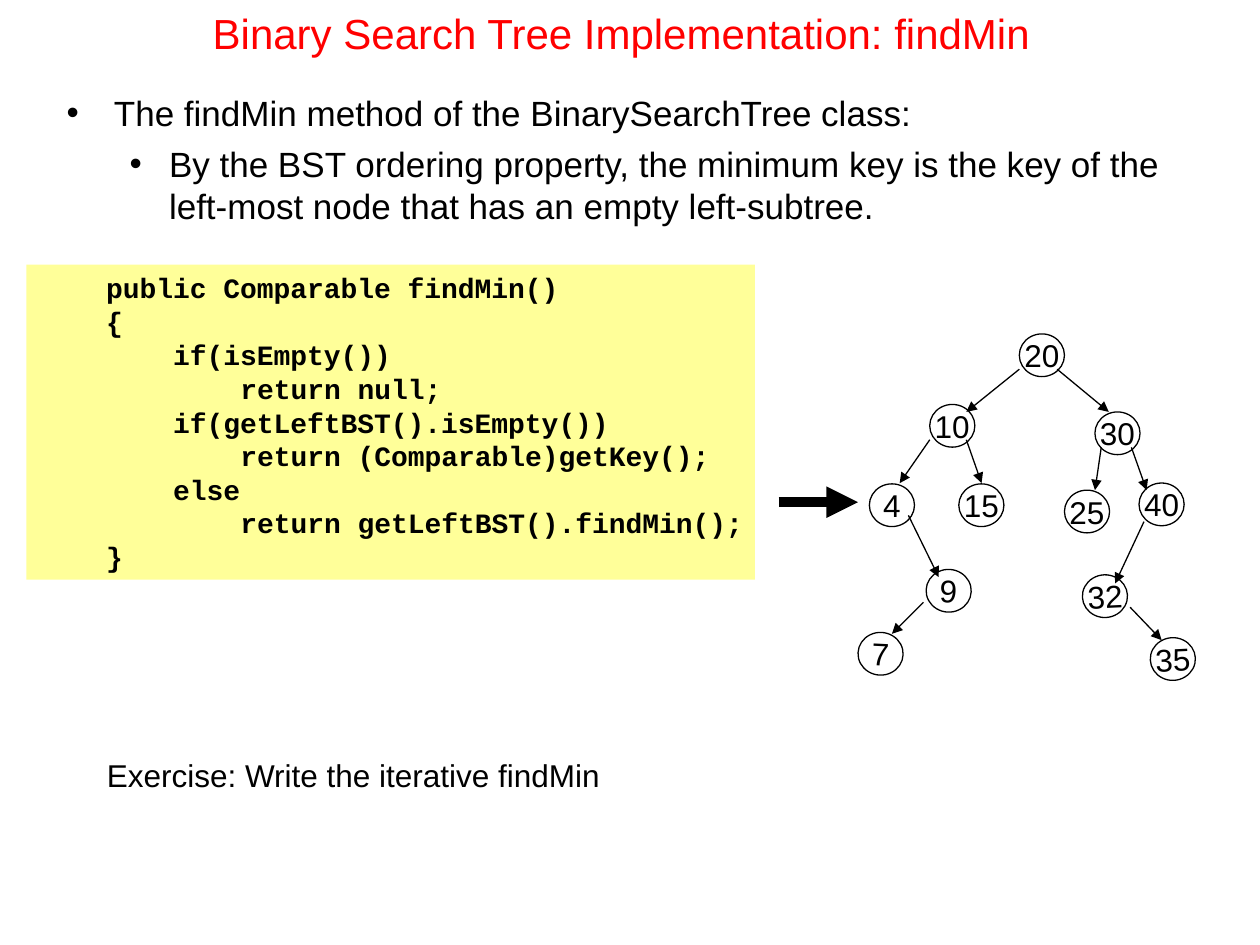
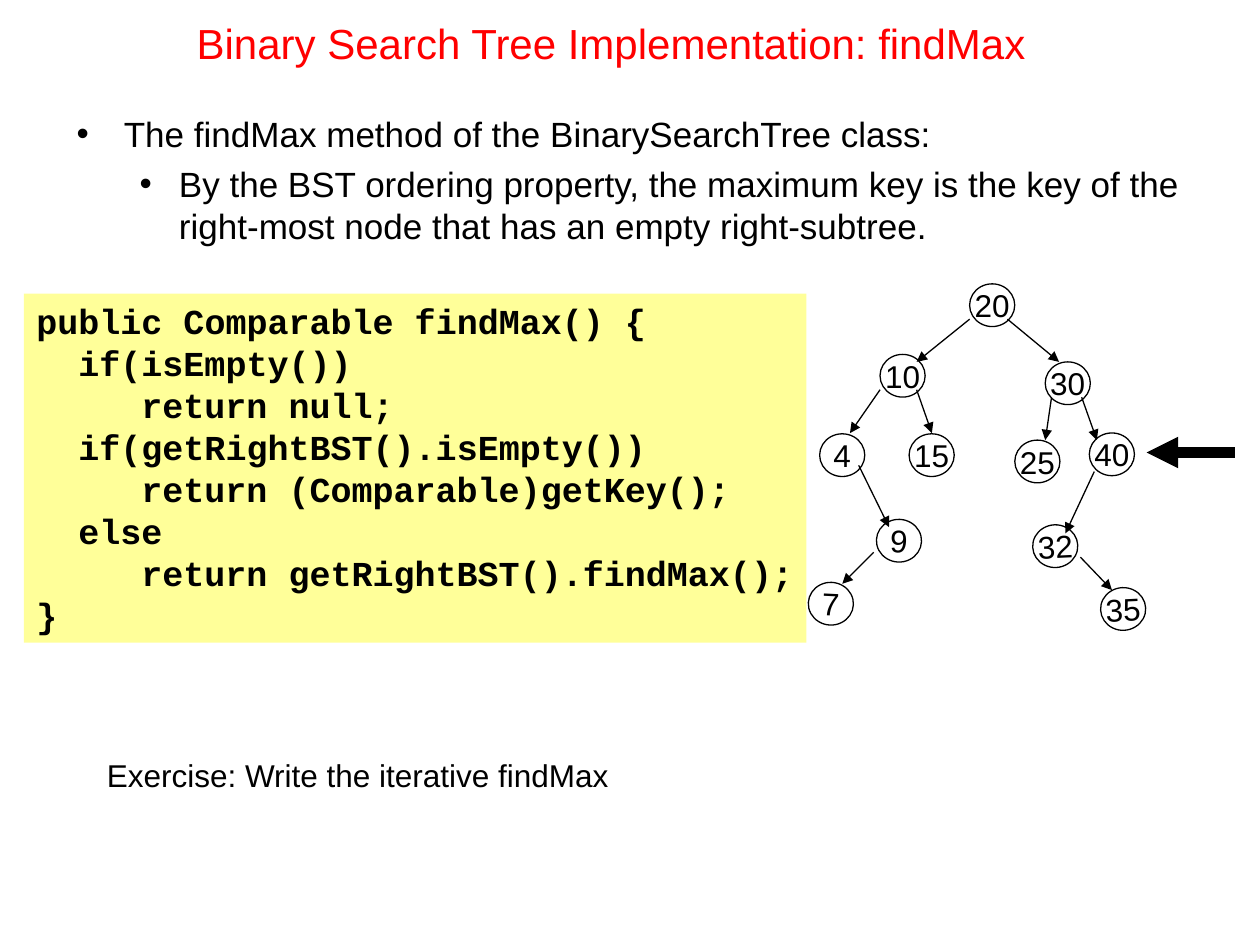
from lxml import etree
from pptx import Presentation
from pptx.dml.color import RGBColor
from pptx.enum import shapes, text
from pptx.oxml.ns import qn
from pptx.util import Pt

BLACK, RED, YELLOW = "000000", "FF0000", "FFFF99"
SANS, MONO = "Arial", "Courier New"
NODE_W, NODE_H = 25.8, 24.4

# Key: left, top, tilt; places are relative to the tree's corner
NODES = {
    20: (92.2, 0, 0), 10: (41, 40.3, 0), 30: (135.4, 44.6, 0),
    4: (6.5, 85.7, 0), 15: (57.6, 85.7, 0),
    25: (118, 89.3, 0), 40: (160.6, 85.2, 0),
    9: (38.9, 134.6, 2.8), 32: (128.2, 137.7, -2.8),
    7: (0, 170.6, 2.8), 35: (167, 173.6, -2.8),
}
# Start and end of each arrow from parent to child
EDGES = [
    (92.2, 20.2, 61.9, 44.6), (113.8, 20.2, 143.3, 44.6),
    (41, 60.5, 23.8, 85.3), (61.9, 60.5, 70.6, 85.3),
    (139, 64.8, 135.4, 89.3), (156.2, 64.8, 164.9, 89.3),
    (28.8, 103.7, 46.1, 139), (163.4, 107.3, 146.9, 142.6),
    (37.4, 153.4, 19.4, 171.4), (155.5, 156.2, 173.5, 175),
]
# Code lines: indent in characters, then the words
SLIDES = [
    dict(
        name="findMin", title=(31, 0, 648, 37.4), body=(31, 49, 648, 376.6),
        rule="By the BST ordering property, the minimum key is the key of the "
             "left-most node that has an empty left-subtree.",
        box=(15.1, 151.2, 416.2, 180), size=16,
        code=[(4, "public Comparable findMin()"), (4, "{"),
              (8, "if(isEmpty())"), (12, "return null;"),
              (8, "if(getLeftBST().isEmpty())"),
              (12, "return (Comparable)getKey();"), (8, "else"),
              (12, "return getLeftBST().findMin();"), (4, "}")],
        tree=(490.3, 190.8), mark=(445, 287, 490.3, 287)),
    dict(
        name="findMax", title=(25.2, 0, 648, 49), body=(36.7, 60.5, 648, 96.5),
        rule="By the BST ordering property, the maximum key is the key of the "
             "right-most node that has an empty right-subtree.",
        box=(13.7, 167.8, 447.1, 199.4), size=20,
        code=[(0, "public Comparable findMax() {"),
              (2, "if(isEmpty())"), (5, "return null;"),
              (2, "if(getRightBST().isEmpty())"),
              (5, "return (Comparable)getKey();"), (2, "else"),
              (5, "return getRightBST().findMax();"), (0, "}")],
        tree=(461.9, 162.2), mark=(705.6, 258.6, 655.2, 258.6)),
]


def rgb(code):
    return RGBColor.from_string(code)


def write(shape, lines, size, color=BLACK, face=SANS, bold=False, wrap=True):
    frame = shape.text_frame
    frame.word_wrap = wrap
    frame.text = "\n".join(lines)
    for para in frame.paragraphs:
        for run in para.runs:
            font = run.font
            font.size, font.name, font.bold = Pt(size), face, bold
            font.color.rgb = rgb(color)
    return frame


def label(slide, spot, lines, size, color=BLACK):
    box = slide.shapes.add_textbox(*map(Pt, spot))
    return write(box, lines, size, color)


def indent(para, left, hang=0):
    props = para._p.get_or_add_pPr()
    props.set("marL", str(Pt(left)))
    props.set("indent", str(Pt(-hang)))
    return props


def preset(slide, kind, spot):
    shape = slide.shapes.add_shape(kind, *map(Pt, spot))
    shape.shadow.inherit = False
    return shape


def arrow(slide, ends, width):
    line = slide.shapes.add_connector(
        shapes.MSO_CONNECTOR.STRAIGHT, *map(Pt, ends))
    line.line.color.rgb = rgb(BLACK)
    line.line.width = Pt(width)
    etree.SubElement(line.line._get_or_add_ln(), qn("a:tailEnd"),
                     type="triangle")
    etree.SubElement(line._element.spPr, qn("a:effectLst"))


def bullets(slide, spot, lines):
    frame = label(slide, spot, lines, 20)
    levels = [(27, 27), (58.5, 22.5)]
    for para, (left, hang) in zip(frame.paragraphs, levels):
        para.space_before = Pt(5)
        props = indent(para, left, hang)
        etree.SubElement(props, qn("a:buFont"), typeface=SANS)
        etree.SubElement(props, qn("a:buChar"), char="•")


def listing(slide, spot, code, size):
    box = preset(slide, shapes.MSO_SHAPE.RECTANGLE, spot)
    box.fill.solid()
    box.fill.fore_color.rgb = rgb(YELLOW)
    box.line.fill.background()
    frame = write(box, [words for _, words in code], size, face=MONO, bold=True)
    frame.vertical_anchor = text.MSO_ANCHOR.TOP
    frame.margin_right = 0
    for para, (chars, _) in zip(frame.paragraphs, code):
        para.alignment = text.PP_ALIGN.LEFT
        indent(para, chars * size * 0.6)  # a Courier letter is 0.6 em wide


def tree(slide, left, top):
    for x1, y1, x2, y2 in EDGES:
        arrow(slide, (left + x1, top + y1, left + x2, top + y2), 0.75)
    for key, (x, y, tilt) in NODES.items():
        node = preset(slide, shapes.MSO_SHAPE.OVAL,
                      (left + x, top + y, NODE_W, NODE_H))
        node.fill.background()
        node.line.color.rgb = rgb(BLACK)
        node.line.width = Pt(0.75)
        node.rotation = tilt
        frame = write(node, [str(key)], 18, wrap=False)
        frame.vertical_anchor = text.MSO_ANCHOR.MIDDLE
        frame.paragraphs[0].alignment = text.PP_ALIGN.CENTER


def build(deck, page):
    slide = deck.slides.add_slide(deck.slide_layouts[6])
    name = page["name"]
    head = label(slide, page["title"],
                 [f"Binary Search Tree Implementation: {name}"], 24, RED)
    head.vertical_anchor = text.MSO_ANCHOR.MIDDLE
    head.paragraphs[0].alignment = text.PP_ALIGN.CENTER
    bullets(slide, page["body"],
            [f"The {name} method of the BinarySearchTree class:", page["rule"]])
    listing(slide, page["box"], page["code"], page["size"])
    tree(slide, *page["tree"])
    arrow(slide, page["mark"], 6)
    label(slide, (54, 428.4, 302, 28.8),
          [f"Exercise: Write the iterative {name}"], 18)


def main():
    deck = Presentation()
    deck.slide_width, deck.slide_height = Pt(720), Pt(540)
    for page in SLIDES:
        build(deck, page)
    deck.save("out.pptx")


if __name__ == "__main__":
    main()
